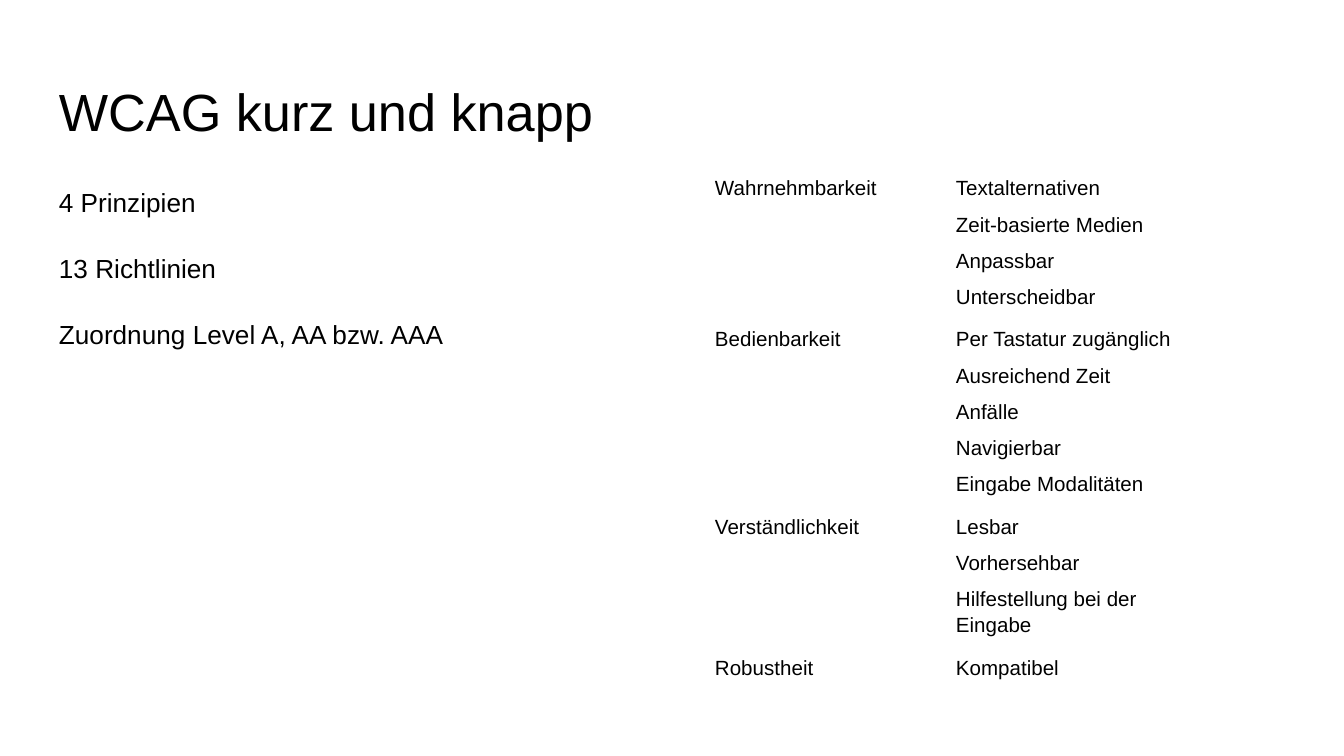
from pptx import Presentation
from pptx import util as u
from pptx.dml.color import RGBColor
from pptx.enum import text

EMU_PER_PX = 914400 / 134.4
FONT = "Arial"
BLACK = "000000"

FACTS = ["4 Prinzipien", "13 Richtlinien", "Zuordnung Level A, AA bzw. AAA"]
PRINCIPLES = {
    "Wahrnehmbarkeit": ["Textalternativen", "Zeit-basierte Medien", "Anpassbar",
                        "Unterscheidbar"],
    "Bedienbarkeit": ["Per Tastatur zugänglich", "Ausreichend Zeit", "Anfälle",
                      "Navigierbar", "Eingabe Modalitäten"],
    "Verständlichkeit": ["Lesbar", "Vorhersehbar", "Hilfestellung bei der Eingabe"],
    "Robustheit": ["Kompatibel"],
}


def px(n):
    return u.Emu(round(n * EMU_PER_PX))


def color(hex_value):
    return RGBColor.from_string(hex_value)


def format_paragraph(paragraph, size, spacing=1.15):
    paragraph.alignment = text.PP_ALIGN.LEFT
    paragraph.line_spacing = spacing
    for run in paragraph.runs:
        run.font.name = FONT
        run.font.size = u.Pt(size)
        run.font.bold = False
        run.font.color.rgb = color(BLACK)


def set_margins(target, side, top):
    target.margin_left = target.margin_right = target.margin_bottom = px(side)
    target.margin_top = px(top)


def prepare_frame(frame):
    frame.word_wrap = True
    frame.auto_size = text.MSO_AUTO_SIZE.NONE
    frame.vertical_anchor = text.MSO_ANCHOR.TOP
    set_margins(frame, 13, 13)


def add_title(slide, wording):
    title = slide.shapes.title
    title.left, title.top, title.width, title.height = map(px, (46, 66, 1253, 85))
    frame = title.text_frame
    prepare_frame(frame)
    frame.text = wording
    format_paragraph(frame.paragraphs[0], 28, 1.0)


def add_facts(slide):
    frame = slide.shapes.add_textbox(*map(px, (46, 169, 587, 503))).text_frame
    prepare_frame(frame)
    frame.text = "\n".join(FACTS)
    for index, paragraph in enumerate(frame.paragraphs):
        format_paragraph(paragraph, 14)
        if index:
            paragraph.space_before = u.Pt(16)
    frame.paragraphs[-1].space_after = u.Pt(16)


def fill_cell(cell, wording, starts_group):
    cell.text = wording
    cell.vertical_anchor = text.MSO_ANCHOR.TOP
    set_margins(cell, 5, 11 if starts_group else 5)
    format_paragraph(cell.text_frame.paragraphs[0], 11)


def add_principles(slide):
    row_count = sum(map(len, PRINCIPLES.values()))
    column_width, row_height = 241, 31
    table = slide.shapes.add_table(
        row_count, 2, px(710), px(169),
        px(2 * column_width), px(row_count * row_height)).table
    table.first_row = table.horz_banding = False
    for column in table.columns:
        column.width = px(column_width)
    for row in table.rows:
        row.height = px(row_height)
        for cell in row.cells:
            cell.fill.background()

    # One merged principle cell beside its guidelines
    first = 0
    for principle, guidelines in PRINCIPLES.items():
        last = first + len(guidelines) - 1
        if last > first:
            table.cell(first, 0).merge(table.cell(last, 0))
        fill_cell(table.cell(first, 0), principle, first > 0)
        for offset, guideline in enumerate(guidelines):
            fill_cell(table.cell(first + offset, 1), guideline,
                      first > 0 and offset == 0)
        first = last + 1


def main():
    deck = Presentation()
    deck.slide_width, deck.slide_height = px(1344), px(756)
    slide = deck.slides.add_slide(deck.slide_layouts[5])
    add_title(slide, "WCAG kurz und knapp")
    add_principles(slide)
    add_facts(slide)
    deck.save("out.pptx")


if __name__ == "__main__":
    main()
